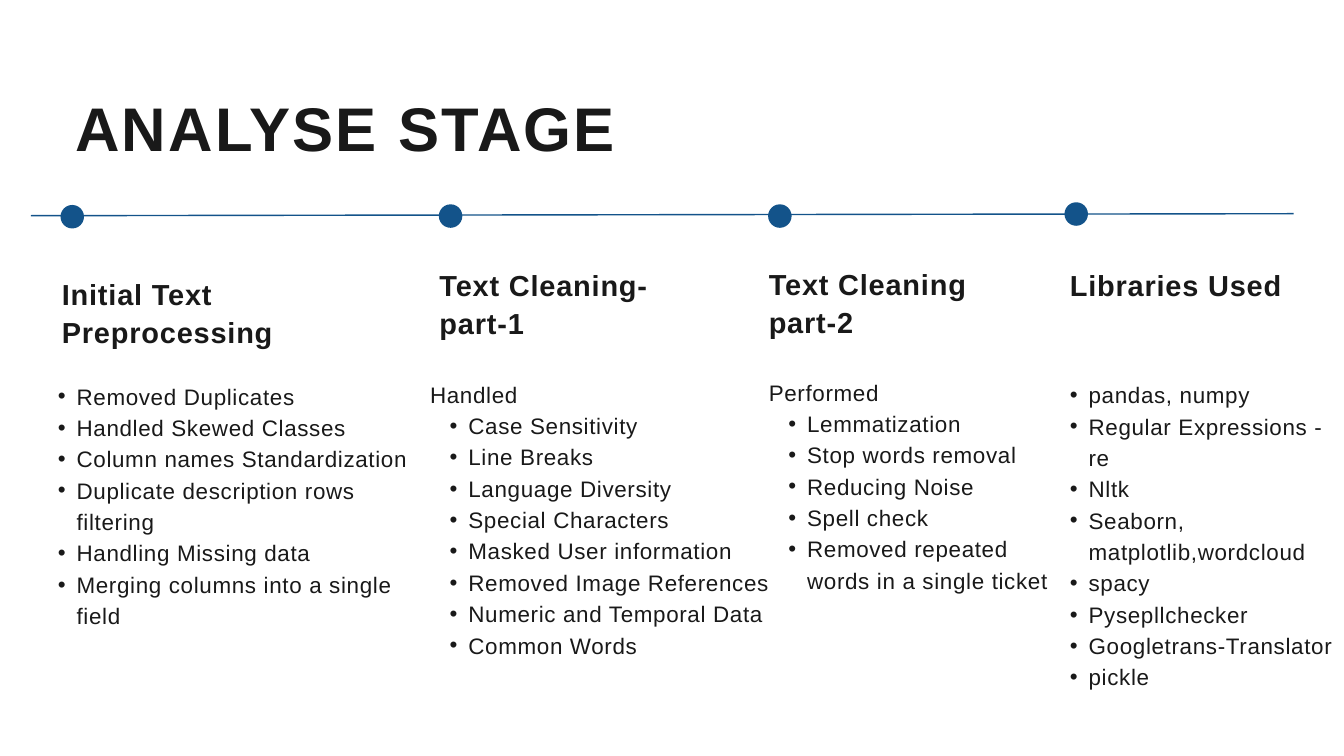
import pptx
import pptx.dml.color
import pptx.enum.shapes
import pptx.enum.text
import pptx.oxml.ns
import pptx.util
from lxml import etree
from pptx.util import Inches

COLORS = {"blue": "13538A", "ink": "191919"}
FONT = "Arial"
DOT_SIZE = 0.35

# Per stage: dot position, heading box, body box, lead-in line and bullets
STAGES = [
    {"dot": (0.9, 3.05), "heading": "Initial Text Preprocessing",
     "heading_box": (0.92, 4.08, 3.68, 1.09), "body_box": (0.57, 5.63, 5.64, 3.77),
     "lead": None,
     "bullets": ["Removed Duplicates", "Handled Skewed Classes",
                 "Column names Standardization", "Duplicate description rows filtering",
                 "Handling Missing data", "Merging columns into a single field"]},
    {"dot": (6.53, 3.04), "heading": "Text Cleaning-part-1",
     "heading_box": (6.54, 3.94, 3.68, 1.09), "body_box": (6.4, 5.6, 5.58, 4.25),
     "lead": "Handled",
     "bullets": ["Case Sensitivity", "Line Breaks", "Language Diversity",
                 "Special Characters", "Masked User information",
                 "Removed Image References", "Numeric and Temporal Data", "Common Words"]},
    {"dot": (11.43, 3.04), "heading": "Text Cleaning part-2",
     "heading_box": (11.44, 3.93, 3.68, 1.09), "body_box": (11.44, 5.57, 4.58, 3.3),
     "lead": "Performed",
     "bullets": ["Lemmatization", "Stop words removal", "Reducing Noise", "Spell check",
                 "Removed repeated words in a single ticket"]},
    {"dot": (15.84, 3.01), "heading": "Libraries Used",
     "heading_box": (15.92, 3.94, 3.68, 0.52), "body_box": (15.63, 5.61, 4.26, 5.2),
     "lead": None,
     "bullets": ["pandas, numpy", "Regular Expressions - re", "Nltk",
                 "Seaborn, matplotlib,wordcloud", "spacy", "Pysepllchecker",
                 "Googletrans-Translator", "pickle"]},
]


def prepare_frame(shape):
    frame = shape.text_frame
    frame.word_wrap = True
    frame.auto_size = pptx.enum.text.MSO_AUTO_SIZE.NONE
    frame.vertical_anchor = pptx.enum.text.MSO_ANCHOR.TOP
    frame.margin_left = frame.margin_right = frame.margin_top = frame.margin_bottom = 0
    return frame


def write_line(paragraph, text, size, line_height, tracking, bold=False, bullet=False):
    paragraph.alignment = pptx.enum.text.PP_ALIGN.LEFT
    paragraph.line_spacing = pptx.util.Pt(line_height)
    paragraph.space_before = pptx.util.Pt(0)
    if bullet:
        paragraph.level = 1
        properties = paragraph._p.get_or_add_pPr()
        properties.set("marL", str(Inches(0.57)))
        properties.set("indent", str(Inches(-0.28)))
        etree.SubElement(properties, pptx.oxml.ns.qn("a:buFont")).set("typeface", FONT)
        etree.SubElement(properties, pptx.oxml.ns.qn("a:buChar")).set("char", "•")
    run = paragraph.add_run()
    run.text = text
    run.font.name = FONT
    run.font.size = pptx.util.Pt(size)
    run.font.bold = bold
    run.font.color.rgb = pptx.dml.color.RGBColor.from_string(COLORS["ink"])
    run._r.get_or_add_rPr().set("spc", str(round(tracking * 100)))


presentation = pptx.Presentation()
presentation.slide_width = Inches(20)
presentation.slide_height = Inches(11.25)
slide = presentation.slides.add_slide(presentation.slide_layouts[5])
blue = pptx.dml.color.RGBColor.from_string(COLORS["blue"])

# Title
title = slide.shapes.title
title.left, title.top, title.width, title.height = map(Inches, (1.12, 1.11, 17.75, 1.22))
write_line(prepare_frame(title).paragraphs[0], "ANALYSE STAGE", 66, 96, 2.4, bold=True)

# Timeline
timeline = slide.shapes.add_connector(
    pptx.enum.shapes.MSO_CONNECTOR.STRAIGHT,
    Inches(0.46), Inches(3.21), Inches(19.25), Inches(3.18))
timeline.line.color.rgb = blue
timeline.line.width = pptx.util.Pt(1.5)
etree.SubElement(timeline._element.spPr, pptx.oxml.ns.qn("a:effectLst"))

# Stages
for stage in STAGES:
    dot = slide.shapes.add_shape(
        pptx.enum.shapes.MSO_SHAPE.OVAL,
        *map(Inches, stage["dot"]), Inches(DOT_SIZE), Inches(DOT_SIZE))
    dot.shadow.inherit = False
    dot.fill.solid()
    dot.fill.fore_color.rgb = blue
    dot.line.fill.background()

    heading = slide.shapes.add_textbox(*map(Inches, stage["heading_box"]))
    write_line(prepare_frame(heading).paragraphs[0], stage["heading"], 31, 40.3, 0.9, bold=True)

    body = prepare_frame(slide.shapes.add_textbox(*map(Inches, stage["body_box"])))
    lines = [(text, True) for text in stage["bullets"]]
    if stage["lead"]:
        lines.insert(0, (stage["lead"], False))
    for index, (text, bullet) in enumerate(lines):
        paragraph = body.add_paragraph() if index else body.paragraphs[0]
        write_line(paragraph, text, 24, 33.6, 0.7, bullet=bullet)

presentation.save("out.pptx")
